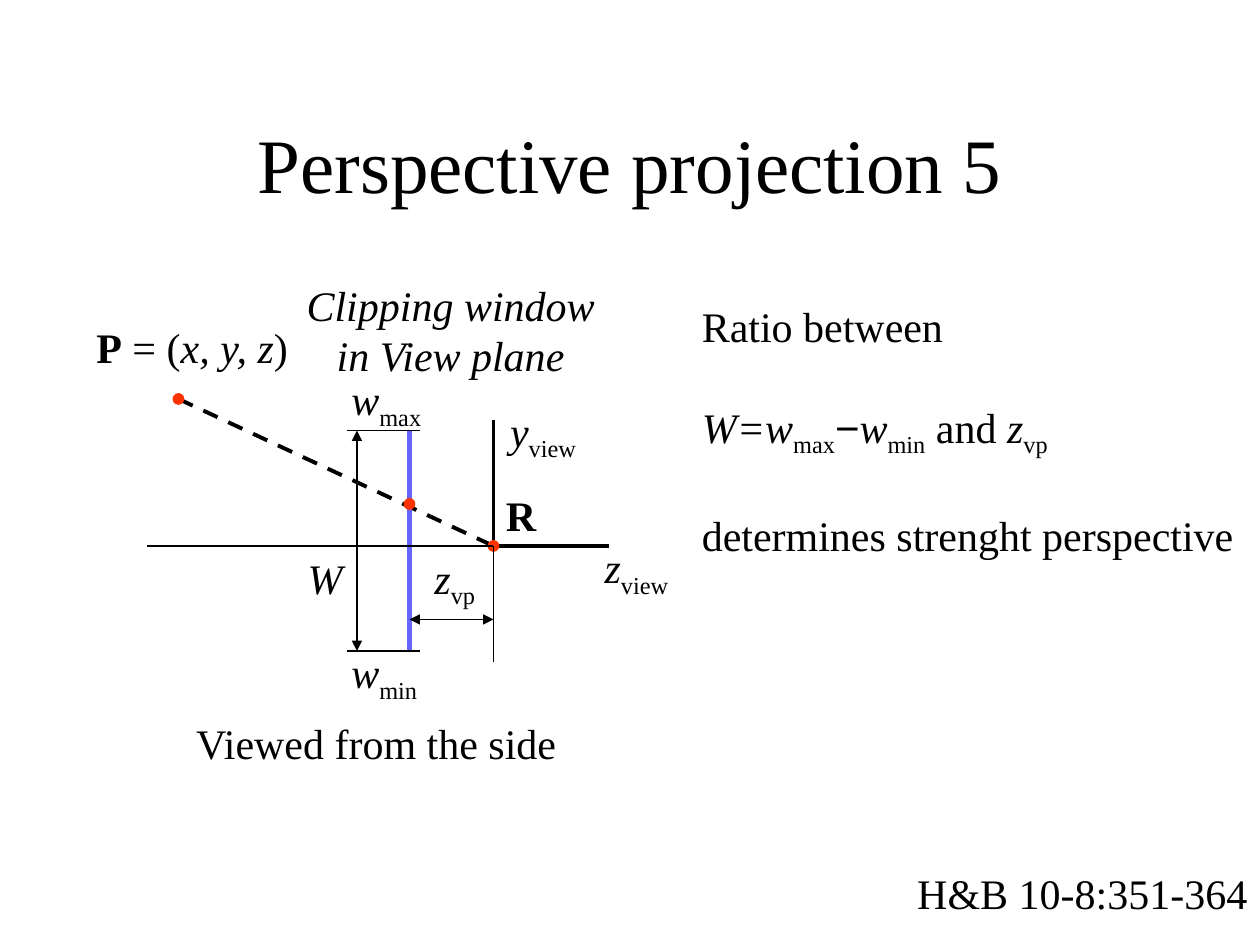
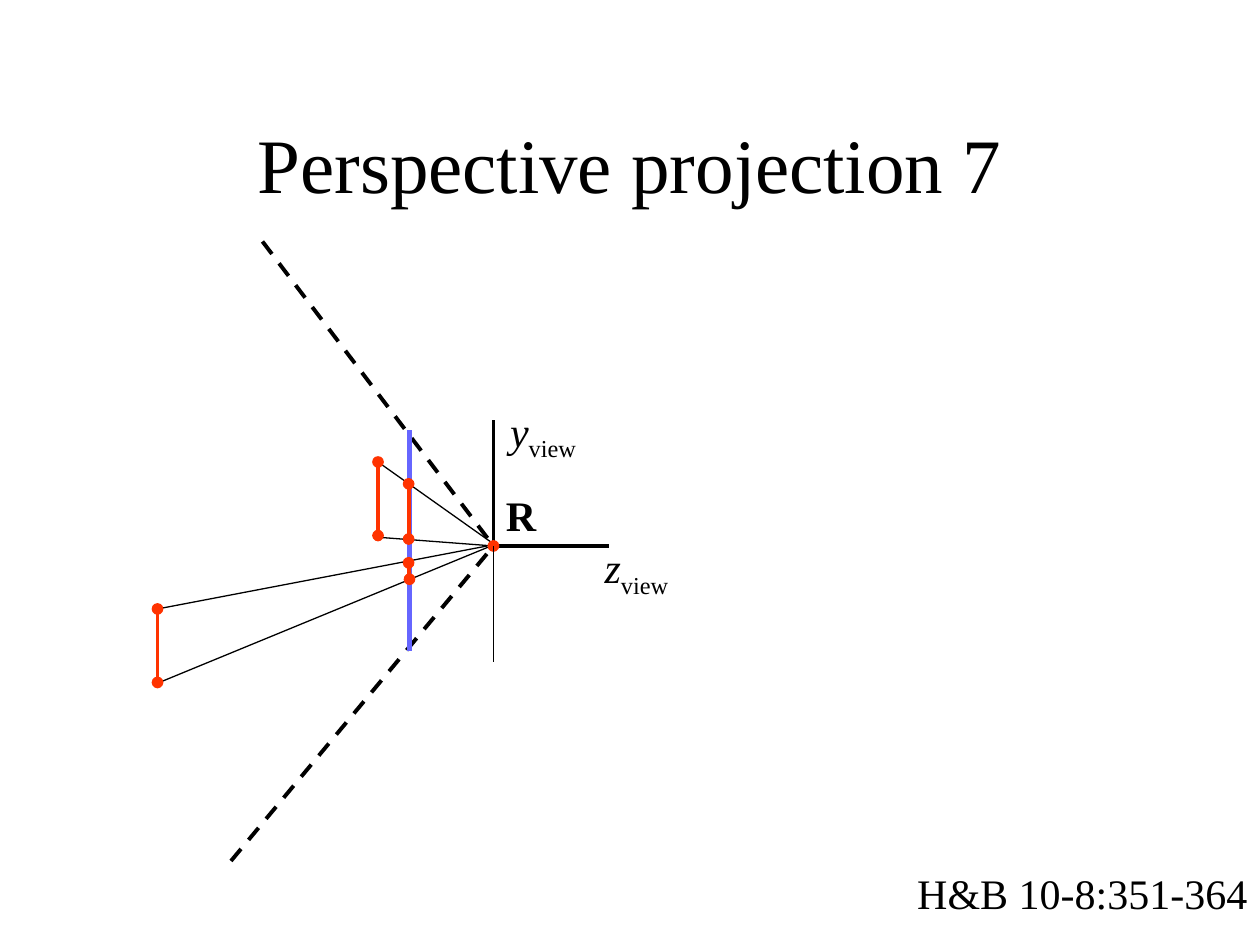
from dataclasses import dataclass
from typing import Any

from lxml.etree import SubElement
from pptx import Presentation
from pptx.dml.color import RGBColor
from pptx.enum.dml import MSO_LINE_DASH_STYLE as Dash
from pptx.enum.shapes import MSO_CONNECTOR as Connector, MSO_SHAPE as Preset
from pptx.enum.text import MSO_ANCHOR as Anchor, MSO_AUTO_SIZE as AutoSize, PP_ALIGN as Align
from pptx.oxml.ns import qn
from pptx.util import Pt

BLACK, BLUE, RED = "000000", "6666FF", "FF3300"
SERIF, SANS = "Times New Roman", "Arial"
THIN, THICK = 0.75, 2.25
DOT_SIZE = 3 * THICK
PLANE_X, WINDOW_TOP, WINDOW_BOTTOM = -48, -66, 60
EYE = (0, 0)


def color(code):
    return RGBColor.from_string(code)


def add_runs(para, runs, size):
    for text, style in runs:
        span = para.add_run()
        span.text = text
        span.font.size = Pt(size)
        span.font.name = SANS if style == "sans" else SERIF
        span.font.color.rgb = color(BLACK)
        span.font.bold = style == "bold"
        span.font.italic = style == "italic"
        if style == "sub":
            span.font._element.set("baseline", "-25000")


@dataclass
class Region:
    page: Any
    left: float
    top: float

    def text(self, x, y, width, height, *lines, size=24, align=Align.LEFT,
             anchor=Anchor.TOP, wrap=False, fit=True, gap=0):
        box = self.page.shapes.add_textbox(
            Pt(self.left + x), Pt(self.top + y), Pt(width), Pt(height))
        frame = box.text_frame
        frame.word_wrap = wrap
        frame.auto_size = AutoSize.SHAPE_TO_FIT_TEXT if fit else AutoSize.NONE
        frame.vertical_anchor = anchor
        for index, runs in enumerate(lines):
            para = frame.add_paragraph() if index else frame.paragraphs[0]
            para.alignment = align
            if index and gap:
                para.space_before = Pt(gap)
            add_runs(para, runs, size)

    def line(self, start, end, width=THIN, code=BLACK, dash=False, ends=None):
        link = self.page.shapes.add_connector(
            Connector.STRAIGHT,
            Pt(self.left + start[0]), Pt(self.top + start[1]),
            Pt(self.left + end[0]), Pt(self.top + end[1]))
        link.line.color.rgb = color(code)
        link.line.width = Pt(width)
        if dash:
            link.line.dash_style = Dash.DASH
        if ends:
            outline = link.line._get_or_add_ln()
            for tag in ("a:headEnd", "a:tailEnd"):
                SubElement(outline, qn(tag), type=ends)
        SubElement(link._element.spPr, qn("a:effectLst"))

    def bar(self, start, end):
        self.line(start, end, THICK, RED, ends="oval")

    def dot(self, spot):
        oval = self.page.shapes.add_shape(
            Preset.OVAL, Pt(self.left + spot[0] - DOT_SIZE / 2),
            Pt(self.top + spot[1] - DOT_SIZE / 2), Pt(DOT_SIZE), Pt(DOT_SIZE))
        oval.shadow.inherit = False
        oval.fill.solid()
        oval.fill.fore_color.rgb = color(RED)
        oval.line.fill.background()


def add_page(deck, title):
    page = deck.slides.add_slide(deck.slide_layouts[6])
    whole = Region(page, 0, 0)
    whole.text(54, 48, 612, 90, [(title, "")], size=44, align=Align.CENTER,
               anchor=Anchor.MIDDLE, wrap=True, fit=False)
    whole.text(517, 492, 203, 36, [("H&B 10-8:351-364", "")])
    return page


def symbol(letter, index):
    return [(letter, "italic"), (index, "sub")]


def draw_view(view):
    view.line((PLANE_X, WINDOW_TOP), (PLANE_X, WINDOW_BOTTOM), 3, BLUE)
    view.text(56.4, -6, 55, 40, symbol("z", "view"))
    view.line(EYE, (66, 0), THICK)
    view.line(EYE, (0, -72), THICK)
    view.text(2.4, -84, 55, 40, symbol("y", "view"))
    view.text(0, -36, 32, 36, [("R", "bold")])
    view.dot(EYE)
    view.line(EYE, (0, 66))


def draw_measures(view):
    view.line((-198, 0), EYE, 1)
    view.line((-78, WINDOW_TOP), (-78, WINDOW_BOTTOM), ends="triangle")
    view.line((0, 42), (PLANE_X, 42), ends="triangle")
    for y in (WINDOW_TOP, WINDOW_BOTTOM):
        view.line((-84, y), (-42, y))
    view.text(-40.8, 0, 42, 40, symbol("z", "vp"))
    view.text(-113.5, 0, 34.6, 36, [("W", "italic")], align=Align.CENTER)
    view.text(-88.3, -102, 58, 40, symbol("w", "max"))
    view.text(-88.3, 54, 55, 40, symbol("w", "min"))


def draw_side_view(view):
    point = (-180, -84)
    view.text(-234, -132, 125, 36,
              [("P", "bold"), (" = (", ""), ("x, y, z", "italic"), (")", "")])
    view.line(point, EYE, THICK, dash=True)
    view.text(-114, -156, 179, 65, [("Clipping window", "italic")],
              [("in View plane", "italic")], align=Align.CENTER)
    draw_view(view)
    view.dot((PLANE_X, -24))
    view.dot(point)
    draw_measures(view)
    view.text(-177, 94.4, 222, 36, [("Viewed from the side", "")])


def draw_ratio_note(note):
    ratio = [("W=w", "italic"), ("max", "sub"), ("−", "sans"),
             *symbol("w", "min"), (" and ", ""), *symbol("z", "vp")]
    note.text(0, 0, 302.4, 54, [("Ratio between", "")], ratio,
              [("determines strenght perspective", "")], fit=False, gap=29)


def draw_objects(view):
    rays = [((-66, -48), (0.7, -0.7)), ((-66, -5), EYE),
            ((-192, 36), (-3.6, 0)), ((-191, 78), (-1.4, 0))]
    for start, end in rays:
        view.line(start, end)
    for corner in ((-132, -174), (-150, 180)):
        view.line(corner, EYE, THICK, dash=True)
    draw_view(view)
    bars = [((-48.5, -35.5), (-48.5, -4)), ((-192, 36), (-192, 78)),
            ((-48.5, 9.6), (PLANE_X, 19)), ((-66, -48), (-66, -6))]
    for start, end in bars:
        view.bar(start, end)


def main():
    deck = Presentation()
    deck.slide_width, deck.slide_height = Pt(720), Pt(540)
    page = add_page(deck, "Perspective projection 5")
    draw_side_view(Region(page, 282, 312))
    draw_ratio_note(Region(page, 394, 168))
    page = add_page(deck, "Perspective projection 7")
    draw_objects(Region(page, 282, 312))
    deck.save("out.pptx")


if __name__ == "__main__":
    main()
